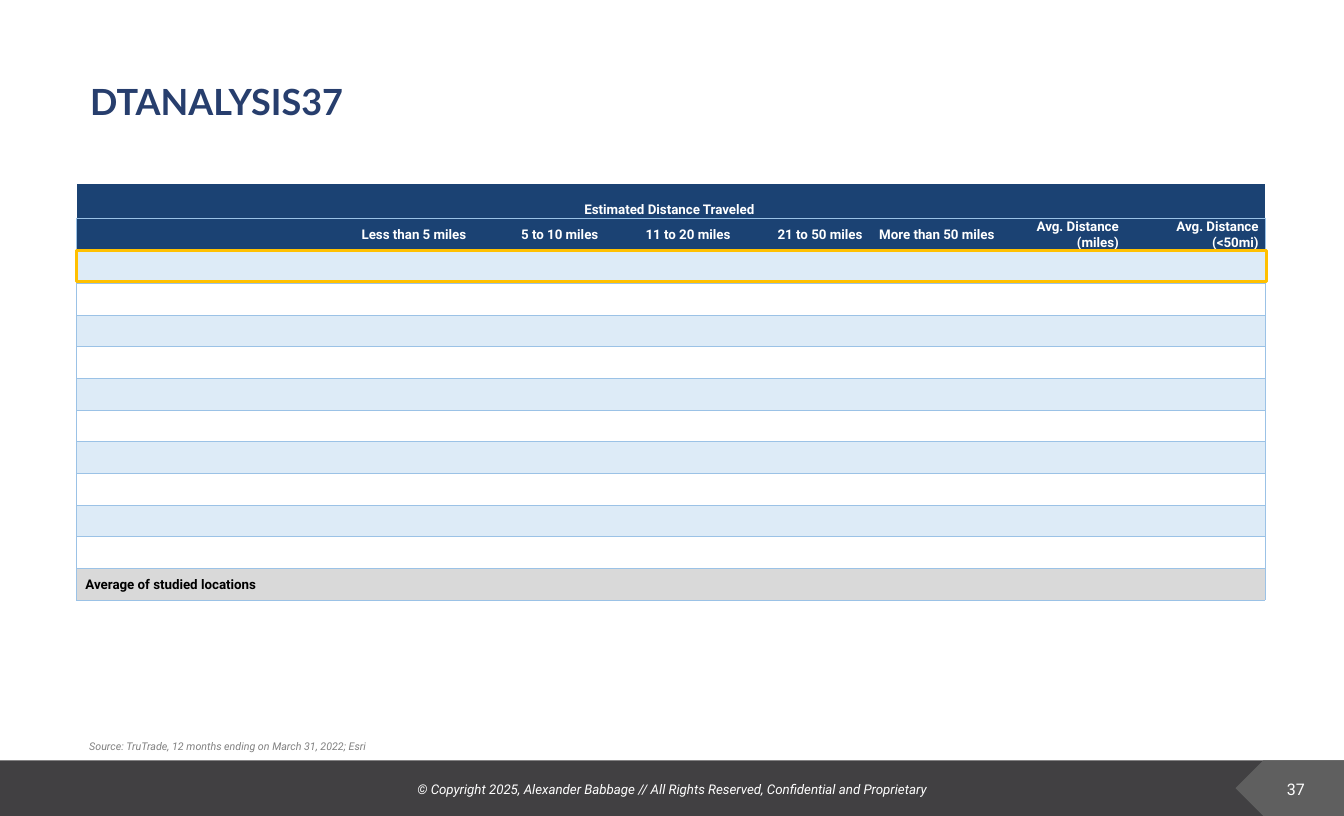
import pptx
import pptx.dml.color
import pptx.enum.shapes
import pptx.enum.text
import pptx.oxml
import pptx.oxml.ns
import pptx.util

Pt = pptx.util.Pt
ALIGN = pptx.enum.text.PP_ALIGN
ANCHOR = pptx.enum.text.MSO_ANCHOR
SHAPES = pptx.enum.shapes.MSO_SHAPE

TITLE = "DTANALYSIS37"
TABLE_HEADING = "Estimated Distance Traveled "
COLUMN_HEADINGS = [
    "Less than 5 miles", "5 to 10 miles", "11 to 20 miles", "21 to 50 miles",
    "More than 50 miles", "Avg. Distance (miles)", "Avg. Distance (<50mi)",
]
LOCATION_ROWS = 10
AVERAGE_LABEL = "Average of studied locations"
SOURCE = "Source: TruTrade, 12 months ending on March 31, 2022; Esri"
COPYRIGHT = ("© Copyright 2025, Alexander Babbage // All Rights Reserved, "
             "Confidential and Proprietary")
PAGE_NUMBER = "37"

NAVY, PALE_BLUE, GREY, WHITE = "1B4273", "DDEBF7", "D9D9D9", "FFFFFF"
BORDER = "9BC2E6"
SLIDE_WIDTH, SLIDE_HEIGHT = 1008, 612
FOOTER_TOP = 570.24
TABLE_LEFT, TABLE_TOP, TABLE_WIDTH = 57.6, 138.24, 891.36
LABEL_WIDTH = 198
HEADER_HEIGHT, ROW_HEIGHT = 25.2, 23.76


def rgb(value):
    return pptx.dml.color.RGBColor.from_string(value)


def write_text(frame, text, size=10, font="Roboto", color=WHITE, bold=False,
               italic=False, align=ALIGN.LEFT):
    paragraph = frame.paragraphs[0]
    paragraph.alignment = align
    run = paragraph.add_run()
    run.text = text
    run.font.size = Pt(size)
    run.font.name = font
    run.font.bold = bold
    run.font.italic = italic
    run.font.color.rgb = rgb(color)


def add_text(slide, box, text, anchor=ANCHOR.MIDDLE, margins=(7.2, 3.6), **text_format):
    frame = slide.shapes.add_textbox(*map(Pt, box)).text_frame
    frame.word_wrap = True
    frame.vertical_anchor = anchor
    frame.margin_left = frame.margin_right = Pt(margins[0])
    frame.margin_top = frame.margin_bottom = Pt(margins[1])
    write_text(frame, text, **text_format)


def add_block(slide, kind, box, fill=None, line=None, rotation=0):
    shape = slide.shapes.add_shape(kind, *map(Pt, box))
    shape.shadow.inherit = False
    shape.rotation = rotation
    if fill:
        shape.fill.solid()
        shape.fill.fore_color.rgb = rgb(fill)
    else:
        shape.fill.background()
    if line:
        shape.line.color.rgb = rgb(line)
        shape.line.width = Pt(2.25)
    else:
        shape.line.fill.background()


def set_borders(cell, sides):
    """Draw the borders named in sides (of L, R, T, B) and clear the others."""
    properties = cell._tc.get_or_add_tcPr()
    for index, side in enumerate("LRTB"):
        paint = (f'<a:solidFill><a:srgbClr val="{BORDER}"/></a:solidFill>'
                 if side in sides else "<a:noFill/>")
        properties.insert(index, pptx.oxml.parse_xml(
            f'<a:ln{side} {pptx.oxml.ns.nsdecls("a")} w="{Pt(0.5)}">{paint}</a:ln{side}>'))


def format_cell(cell, fill, borders):
    cell.margin_left = cell.margin_right = cell.margin_top = Pt(0.72)
    cell.margin_bottom = 0
    cell.vertical_anchor = ANCHOR.MIDDLE
    cell.fill.solid()
    cell.fill.fore_color.rgb = rgb(fill)
    set_borders(cell, borders)


def add_distance_table(slide):
    stripes = [WHITE if row % 2 else PALE_BLUE for row in range(LOCATION_ROWS)]
    row_fills = [NAVY, NAVY, *stripes, GREY]
    heights = [HEADER_HEIGHT] * 2 + [ROW_HEIGHT] * (LOCATION_ROWS + 1)
    last_column = len(COLUMN_HEADINGS)
    table = slide.shapes.add_table(
        len(row_fills), last_column + 1, Pt(TABLE_LEFT), Pt(TABLE_TOP),
        Pt(TABLE_WIDTH), Pt(sum(heights))).table
    table.first_row = table.horz_banding = False

    for index, column in enumerate(table.columns):
        column.width = Pt((TABLE_WIDTH - LABEL_WIDTH) / last_column if index else LABEL_WIDTH)
    for row, (fill, height) in enumerate(zip(row_fills, heights)):
        table.rows[row].height = Pt(height)
        for column in range(last_column + 1):
            borders = "TB" if row else "B"
            if row and column == 0:
                borders += "L"
            if row and column == last_column:
                borders += "R"
            format_cell(table.cell(row, column), fill, borders)

    heading = table.cell(0, 0)
    heading.merge(table.cell(0, last_column))
    heading.vertical_anchor = ANCHOR.BOTTOM
    write_text(heading.text_frame, TABLE_HEADING, bold=True, align=ALIGN.CENTER)
    for column, text in enumerate(COLUMN_HEADINGS, start=1):
        cell = table.cell(1, column)
        cell.margin_right = Pt(10.8 if text == "Avg. Distance (miles)" else 5.04)
        write_text(cell.text_frame, text, bold=True, align=ALIGN.RIGHT)
    average = table.cell(len(row_fills) - 1, 0)
    average.margin_left = Pt(6.48)
    write_text(average.text_frame, AVERAGE_LABEL, color="000000", bold=True)


def main():
    presentation = pptx.Presentation()
    presentation.slide_width, presentation.slide_height = Pt(SLIDE_WIDTH), Pt(SLIDE_HEIGHT)
    slide = presentation.slides.add_slide(presentation.slide_layouts[6])

    footer_height = SLIDE_HEIGHT - FOOTER_TOP
    add_block(slide, SHAPES.RECTANGLE, (0, FOOTER_TOP, SLIDE_WIDTH, footer_height),
              fill="414042")
    add_block(slide, SHAPES.PENTAGON, (926.64, FOOTER_TOP, 81.36, footer_height),
              fill="5F5F5F", rotation=180)
    add_text(slide, (90, 581, 828, 21), COPYRIGHT, italic=True, align=ALIGN.CENTER)
    add_text(slide, (936, 582.5, 72, 18), PAGE_NUMBER, size=12, align=ALIGN.CENTER)

    add_text(slide, (58.3, 24.5, 891.4, 102.2), TITLE, size=27, font="Lato",
             color="273E6D", bold=True, margins=(9.36, 4.32))
    add_distance_table(slide)
    add_block(slide, SHAPES.RECTANGLE,
              (TABLE_LEFT, TABLE_TOP + 2 * HEADER_HEIGHT - 0.7, 892, 23), line="FFC000")
    add_text(slide, (57.6, 545.8, 892, 23), SOURCE, size=8, color="808080",
             italic=True, anchor=ANCHOR.BOTTOM, margins=(9.36, 4.32))
    presentation.save("out.pptx")


if __name__ == "__main__":
    main()
